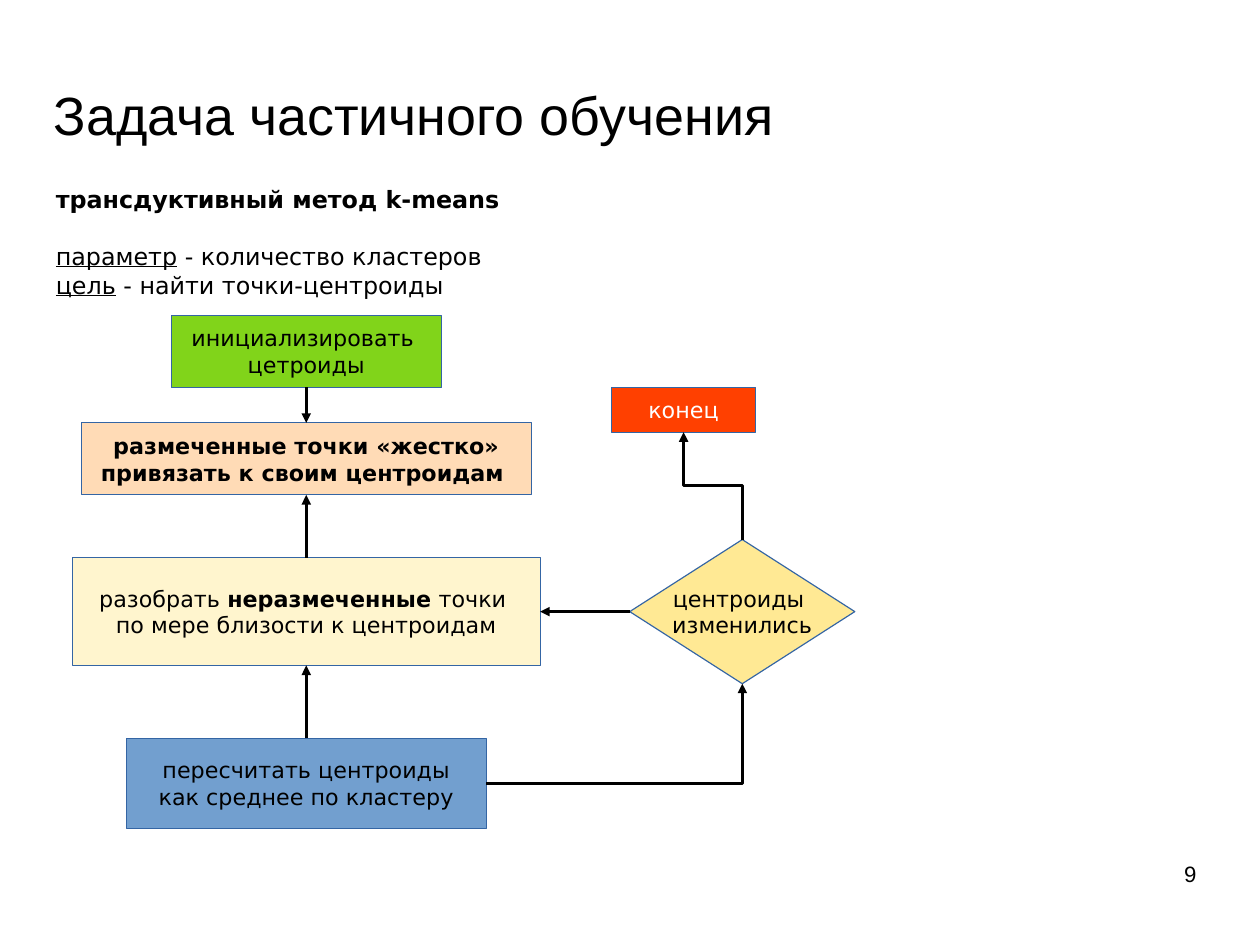
from dataclasses import dataclass
from typing import Any

from lxml import etree
from pptx import Presentation
from pptx.dml.color import RGBColor
from pptx.enum.shapes import MSO_CONNECTOR, MSO_SHAPE
from pptx.enum.text import MSO_ANCHOR, MSO_AUTO_SIZE, PP_ALIGN
from pptx.oxml.ns import qn
from pptx.util import Pt

RECTANGLE, DIAMOND = MSO_SHAPE.RECTANGLE, MSO_SHAPE.DIAMOND
STRAIGHT, ELBOW = MSO_CONNECTOR.STRAIGHT, MSO_CONNECTOR.ELBOW
LEFT, CENTER, RIGHT = PP_ALIGN.LEFT, PP_ALIGN.CENTER, PP_ALIGN.RIGHT
TOP_ANCHOR, MIDDLE_ANCHOR = MSO_ANCHOR.TOP, MSO_ANCHOR.MIDDLE
NO_AUTOSIZE = MSO_AUTO_SIZE.NONE
TOP_SITE, LEFT_SITE, BOTTOM_SITE, RIGHT_SITE = range(4)
TITLE_ONLY_LAYOUT = 5


@dataclass(frozen=True)
class Theme:
    heading_font: str = "Arial"
    body_font: str = "DejaVu Sans"
    title_size: float = 33.9
    intro_size: float = 15
    step_size: float = 14
    number_size: float = 14
    line_width: float = 0
    text: str = "000000"
    light_text: str = "FFFFFF"
    outline: str = "3465A4"
    arrow: str = "000000"
    start: str = "81D41A"
    labelled: str = "FFDBB6"
    unlabelled: str = "FFF5CE"
    update: str = "729FCF"
    decision: str = "FFE994"
    finish: str = "FF4000"


@dataclass(frozen=True)
class Run:
    text: str
    bold: bool = False
    underline: bool = False


@dataclass(frozen=True)
class Step:
    name: str
    center: float
    top: float
    width: float
    height: float
    fill: str
    lines: list[list[Run]]
    color: str
    geometry: Any = RECTANGLE


@dataclass(frozen=True)
class Arrow:
    source: str
    source_site: int
    target: str
    target_site: int
    route: str = "straight"


THEME = Theme()
MAIN_COLUMN = 192.95
DECISION_COLUMN = 467.6

INTRO = [
    [Run("трансдуктивный метод k-means", bold=True)],
    [Run("параметр", underline=True), Run(" - количество кластеров")],
    [Run("цель", underline=True), Run(" - найти точки-центроиды")],
]

STEPS = [
    Step("start", MAIN_COLUMN, 198.7, 170, 45.4, THEME.start,
         [[Run("инициализировать ")], [Run("цетроиды")]], THEME.text),
    Step("labelled", MAIN_COLUMN, 266.4, 283.6, 45.4, THEME.labelled,
         [[Run("размеченные точки «жестко»", bold=True)],
          [Run("привязать к своим центроидам ", bold=True)]], THEME.text),
    Step("unlabelled", MAIN_COLUMN, 351.4, 294.6, 67.8, THEME.unlabelled,
         [[Run("разобрать "), Run("неразмеченные", bold=True), Run(" точки ")],
          [Run("по мере близости к центроидам")]], THEME.text),
    Step("update", MAIN_COLUMN, 465.1, 226.8, 56.8, THEME.update,
         [[Run("пересчитать центроиды")], [Run("как среднее по кластеру")]], THEME.text),
    Step("decision", DECISION_COLUMN, 339.9, 141.8, 90.8, THEME.decision,
         [[Run("центроиды ")], [Run("изменились")]], THEME.text, DIAMOND),
    Step("finish", 430.6, 244.1, 90.8, 28.2, THEME.finish,
         [[Run("конец")]], THEME.light_text),
]

ARROWS = [
    Arrow("start", BOTTOM_SITE, "labelled", TOP_SITE),
    Arrow("unlabelled", TOP_SITE, "labelled", BOTTOM_SITE),
    Arrow("update", TOP_SITE, "unlabelled", BOTTOM_SITE),
    Arrow("decision", LEFT_SITE, "unlabelled", RIGHT_SITE),
    Arrow("update", RIGHT_SITE, "decision", BOTTOM_SITE, "corner"),
    Arrow("decision", TOP_SITE, "finish", BOTTOM_SITE, "upward"),
]


def set_attributes(target: Any, values: dict[str, Any]) -> None:
    for name, value in values.items():
        setattr(target, name, value)


def write_text(shape: Any, lines: list[list[Run]], font: str, size: float,
               color: str = THEME.text, alignment: Any = LEFT,
               anchor: Any = TOP_ANCHOR, insets: tuple[float, float] = (7.2, 3.6),
               wrap: bool = True) -> None:
    frame = shape.text_frame
    horizontal, vertical = map(Pt, insets)
    set_attributes(frame, {
        "auto_size": NO_AUTOSIZE, "word_wrap": wrap, "vertical_anchor": anchor,
        "margin_left": horizontal, "margin_right": horizontal,
        "margin_top": vertical, "margin_bottom": vertical,
    })
    for index, line in enumerate(lines):
        paragraph = frame.add_paragraph() if index else frame.paragraphs[0]
        paragraph.alignment = alignment
        for part in line:
            run = paragraph.add_run()
            run.text = part.text
            set_attributes(run.font, {"name": font, "size": Pt(size),
                                      "bold": part.bold, "underline": part.underline})
            run.font.color.rgb = RGBColor.from_string(color)


def draw_step(slide: Any, step: Step) -> Any:
    shape = slide.shapes.add_shape(
        step.geometry, Pt(step.center - step.width / 2), Pt(step.top),
        Pt(step.width), Pt(step.height))
    shape.shadow.inherit = False
    shape.fill.solid()
    shape.fill.fore_color.rgb = RGBColor.from_string(step.fill)
    shape.line.color.rgb = RGBColor.from_string(THEME.outline)
    shape.line.width = Pt(THEME.line_width)
    write_text(shape, step.lines, THEME.body_font, THEME.step_size, step.color,
               CENTER, MIDDLE_ANCHOR, wrap=False)
    return shape


def turn_upward(connector: Any) -> None:
    """Make a three-part elbow leave vertically, up and to the left."""
    width, height = connector.width, connector.height
    shift = (width - height) // 2
    set_attributes(connector, {"left": connector.left + shift, "top": connector.top - shift,
                               "width": height, "height": width})
    transform = connector._element.spPr.find(qn("a:xfrm"))
    for name, value in {"rot": "16200000", "flipH": "0", "flipV": "1"}.items():
        transform.set(name, value)


def draw_arrow(slide: Any, arrow: Arrow, shapes: dict[str, Any]) -> None:
    kind = STRAIGHT if arrow.route == "straight" else ELBOW
    connector = slide.shapes.add_connector(kind, Pt(0), Pt(0), Pt(0), Pt(0))
    connector.begin_connect(shapes[arrow.source], arrow.source_site)
    connector.end_connect(shapes[arrow.target], arrow.target_site)
    connector.line.color.rgb = RGBColor.from_string(THEME.arrow)
    connector.line.width = Pt(THEME.line_width)
    properties = connector._element.spPr
    if arrow.route == "corner":
        properties.find(qn("a:prstGeom")).set("prst", "bentConnector2")
    elif arrow.route == "upward":
        turn_upward(connector)
    etree.SubElement(properties.find(qn("a:ln")), qn("a:tailEnd"), type="triangle")
    etree.SubElement(properties, qn("a:effectLst"))


def main() -> None:
    presentation = Presentation()
    set_attributes(presentation, {"slide_width": Pt(793.7), "slide_height": Pt(595.3)})
    slide = presentation.slides.add_slide(presentation.slide_layouts[TITLE_ONLY_LAYOUT])

    # Title
    title = slide.shapes.title
    set_attributes(title, {"left": Pt(33.8), "top": Pt(52.6),
                           "width": Pt(510.5), "height": Pt(38.2)})
    write_text(title, [[Run("Задача частичного обучения")]], THEME.heading_font,
               THEME.title_size, anchor=MIDDLE_ANCHOR, insets=(0, 0))

    # Method, parameter and goal
    intro = slide.shapes.add_textbox(Pt(28.1), Pt(113), Pt(357), Pt(77))
    write_text(intro, INTRO, THEME.body_font, THEME.intro_size)
    intro.text_frame.paragraphs[1].space_before = Pt(18)

    # Flowchart
    shapes = {step.name: draw_step(slide, step) for step in STEPS}
    for arrow in ARROWS:
        draw_arrow(slide, arrow, shapes)

    # Slide number
    number = slide.shapes.add_textbox(Pt(568.8), Pt(542.2), Pt(185), Pt(41))
    write_text(number, [[Run("9")]], THEME.heading_font, THEME.number_size,
               alignment=RIGHT, insets=(0, 0))

    presentation.save("out.pptx")


if __name__ == "__main__":
    main()
